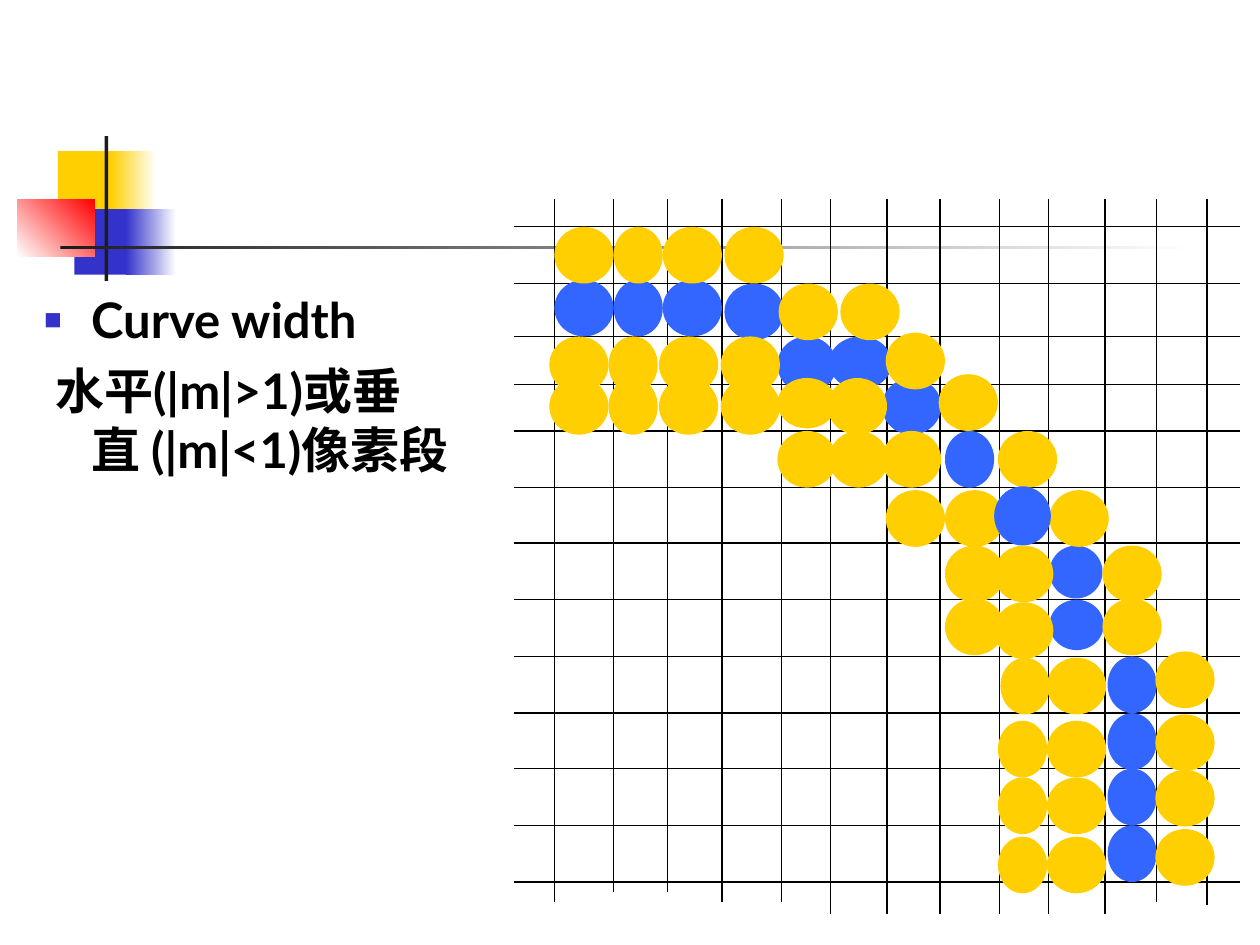
from lxml.etree import SubElement
from pptx import Presentation
from pptx.dml.color import RGBColor
from pptx.enum.shapes import MSO_CONNECTOR, MSO_SHAPE
from pptx.enum.text import MSO_AUTO_SIZE
from pptx.oxml.ns import qn
from pptx.util import Cm, Pt

COLORS = {"yellow": "FFCF01", "indigo": "3333CC", "red": "FF0000", "white": "FFFFFF",
          "dark": "1C1C1C", "black": "000000", "blue": "3366FF"}

# Content: lengths are in inches
BODY = ["Curve width", " 水平(|m|>1)或垂直 (|m|<1)像素段"]

# Corner ornament: left, top, width, height, colours, gradient angle
ORNAMENT = [
    (0.46, 1.2, 0.48, 0.52, ["yellow"], 0),
    (0.88, 1.2, 0.36, 0.52, ["yellow", "white"], 0),
    (0.59, 1.66, 0.46, 0.52, ["indigo"], 0),
    (1, 1.66, 0.4, 0.52, ["indigo", "white"], 0),
    (0.14, 1.58, 0.61, 0.46, ["white", "red"], 45),
    (0.83, 1.08, 0.03, 1.15, ["dark"], 0),
    (0.48, 1.95, 9, 0.03, ["dark", "white"], 0),
]

# Pixel grid: x and lower end of each column line, y of each row line
GRID_TOP, GRID_LEFT, GRID_RIGHT = 1.58, 4.08, 9.84
COLUMN_LINES = [(4.4, 7.16), (4.87, 7.08), (5.3, 7.08), (5.73, 7.16), (6.2, 7.16),
                (6.59, 7.25), (7.04, 7.25), (7.46, 7.25), (7.93, 7.25), (8.32, 7.25),
                (8.77, 7.25), (9.18, 7.16), (9.58, 7.18)]
ROW_LINES = [1.8, 2.25, 2.67, 3.05, 3.42, 3.87, 4.31, 4.76, 5.21, 5.66, 6.1, 6.55, 7]

# Pixels, back to front: colour, top, lefts; a pair or triple adds width and height
WIDE, NARROW, TALL = 0.47, 0.39, 0.45
PIXELS = [
    ("blue", 2.22, [4.4, (4.87, NARROW), 5.26]),
    ("blue", 2.25, [5.75]),
    ("blue", 2.67, [(6.58, 0.5, 0.42), 6.17]),
    ("blue", 3, [7]),
    ("blue", 3.42, [(7.5, NARROW)]),
    ("blue", 4.33, [(8.33, 0.42, 0.42)]),
    ("blue", 4.76, [(8.33, 0.43, 0.4)]),
    *[("blue", top, [(8.79, NARROW)]) for top in (5.21, 5.66, 6.1, 6.55)],
    ("yellow", 1.8, [4.4, (4.87, NARROW), 5.26, 5.75]),
    *[("yellow", top, [4.36, (4.83, NARROW), 5.23, 5.72]) for top in (2.67, 3)],
    ("yellow", 2.25, [6.18, 6.67]),
    ("yellow", 2.64, [7.03]),
    ("yellow", 2.97, [7.45]),
    ("yellow", 3, [(6.17, WIDE, 0.4), 6.57]),
    ("yellow", 3.42, [6.17, 6.58, 7, 7.92]),
    ("yellow", 3.89, [7.03, 7.5, 8.33]),
    ("blue", 3.86, [(7.89, 0.45, 0.47)]),
    ("yellow", 4.33, [7.5, 7.89, 8.75]),
    ("yellow", 4.75, [7.5, 8.75]),
    ("yellow", 4.78, [7.89]),
    ("yellow", 5.22, [(7.94, NARROW), 8.31]),
    *[("yellow", top, [(7.92, NARROW), 8.31]) for top in (5.72, 6.17, 6.64)],
    *[("yellow", top, [9.17]) for top in (5.17, 5.67, 6.11, 6.58)],
]


def inches(*values):
    return [Cm(value * 2.54) for value in values]


def rgb(name):
    return RGBColor.from_string(COLORS[name])


def add_filled(shapes, preset, box, colors, angle=0):
    shape = shapes.add_shape(preset, *inches(*box))
    shape.shadow.inherit = False
    shape.line.fill.background()
    if len(colors) == 1:
        shape.fill.solid()
        shape.fill.fore_color.rgb = rgb(colors[0])
    else:
        shape.fill.gradient()
        shape.fill.gradient_angle = angle
        for stop, color, position in zip(shape.fill.gradient_stops, colors, (0, 1)):
            stop.color.rgb = rgb(color)
            stop.position = position


def add_grid_line(shapes, *ends):
    line = shapes.add_connector(MSO_CONNECTOR.STRAIGHT, *inches(*ends))
    line.line.color.rgb = rgb("black")
    line.line.width = Pt(0.75)
    SubElement(line._element.spPr, qn("a:effectLst"))


def add_bullet(properties):
    color = SubElement(properties, qn("a:buClr"))
    SubElement(color, qn("a:srgbClr"), val=COLORS["indigo"])
    SubElement(properties, qn("a:buSzPct"), val="60000")
    SubElement(properties, qn("a:buChar"), char="■")


def fill_body(body):
    body.left, body.top, body.width, body.height = inches(0.25, 2.25, 3.42, 4.5)
    frame = body.text_frame
    frame.text = "\n".join(BODY)
    frame.word_wrap = True
    frame.auto_size = MSO_AUTO_SIZE.NONE
    for number, paragraph in enumerate(frame.paragraphs):
        properties = paragraph._p.get_or_add_pPr()
        properties.set("marL", str(Cm(0.95)))
        properties.set("indent", str(Cm(-0.95)))
        if number == 0:
            add_bullet(properties)
        else:
            SubElement(properties, qn("a:buNone"))
        paragraph.space_before = Pt(7 if number else 0)
        paragraph.font.name = "Lato"
        paragraph.font.size = Pt(28)
        paragraph.font.bold = True
        paragraph.font.color.rgb = rgb("black")


def main():
    deck = Presentation()
    deck.slide_width, deck.slide_height = inches(10, 7.5)
    slide = deck.slides.add_slide(deck.slide_layouts[1])
    title = slide.shapes.title._element
    title.getparent().remove(title)

    # Corner ornament
    for *box, colors, angle in ORNAMENT:
        add_filled(slide.shapes, MSO_SHAPE.RECTANGLE, box, colors, angle)

    # Text
    fill_body(slide.placeholders[1])

    # Grid lines, then the pixels on top
    raster = slide.shapes.add_group_shape().shapes
    for x, bottom in COLUMN_LINES:
        add_grid_line(raster, x, GRID_TOP, x, bottom)
    for y in ROW_LINES:
        add_grid_line(raster, GRID_LEFT, y, GRID_RIGHT, y)
    for color, top, pixels in PIXELS:
        for pixel in pixels:
            left, *size = pixel if isinstance(pixel, tuple) else (pixel,)
            width, height = (size + [WIDE, TALL][len(size):])
            add_filled(raster, MSO_SHAPE.OVAL, (left, top, width, height), [color])

    deck.save("out.pptx")


if __name__ == "__main__":
    main()
